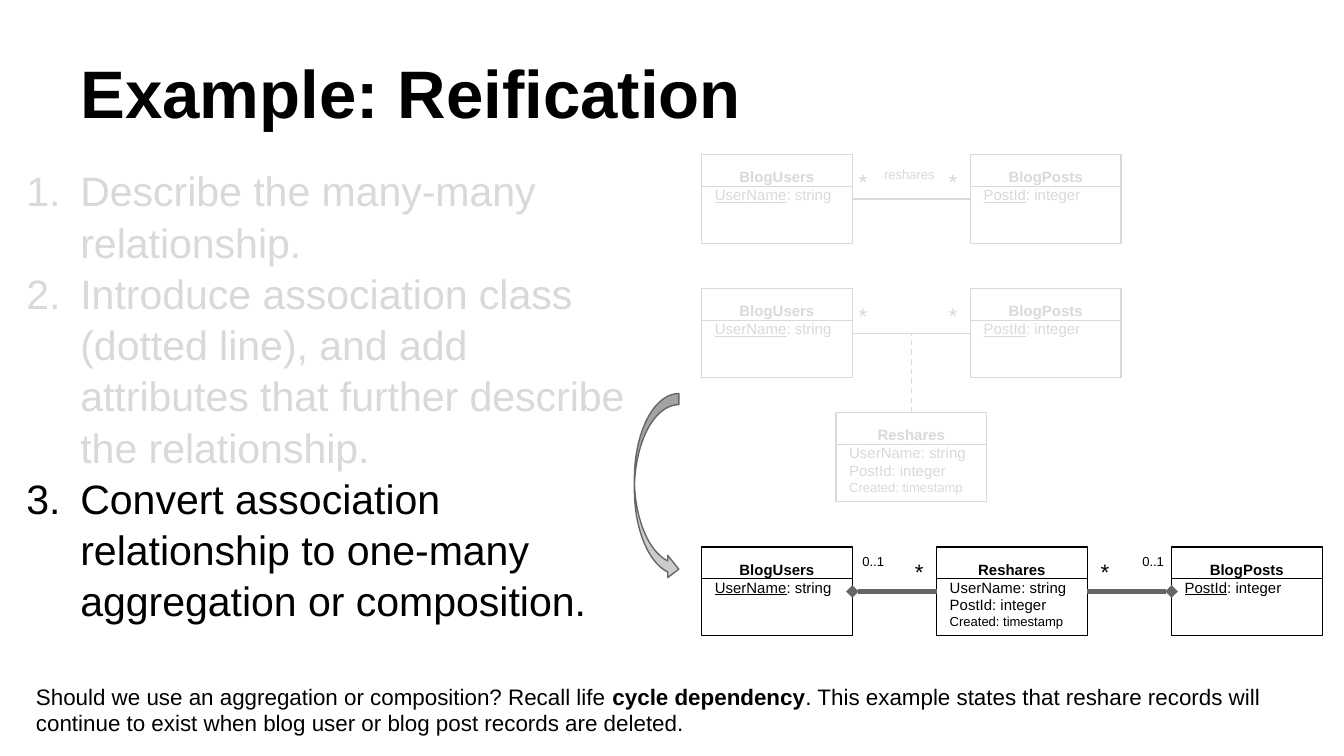
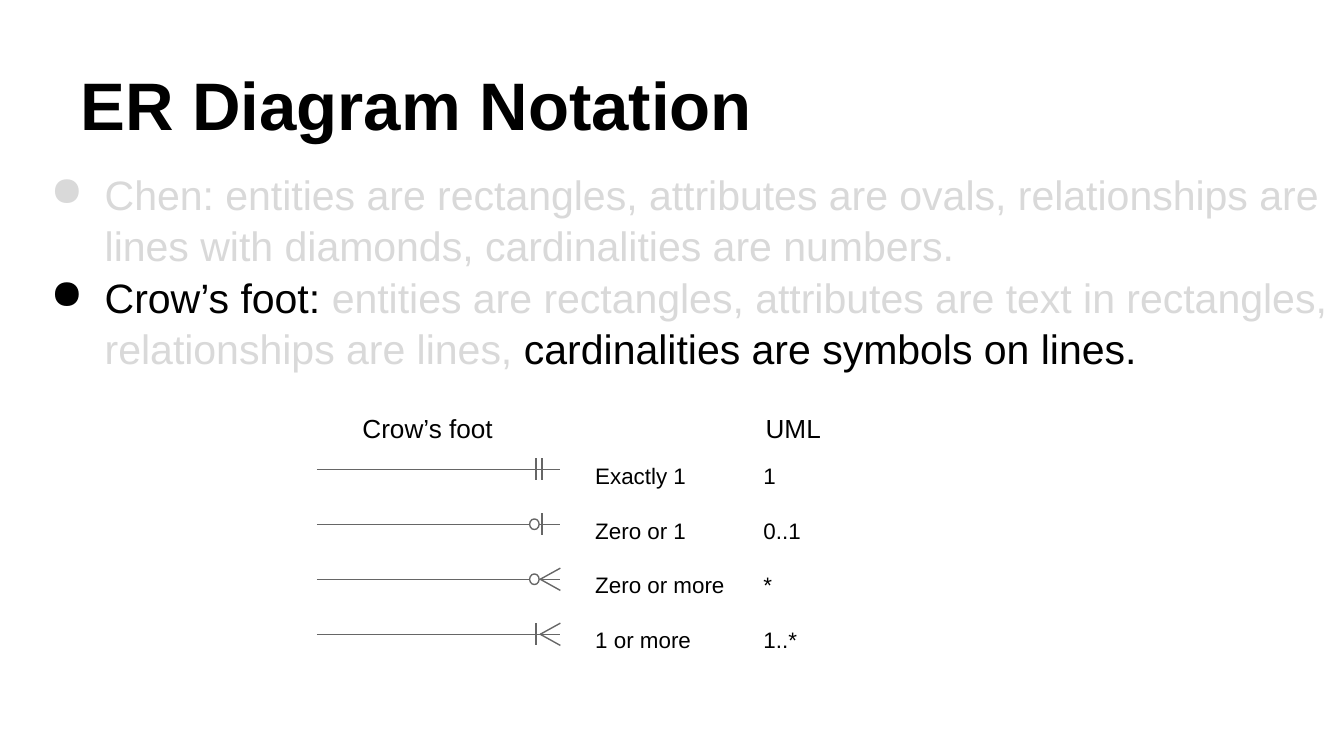
from lxml import etree
from pptx import Presentation
from pptx.dml.color import RGBColor
from pptx.enum.dml import MSO_LINE
from pptx.enum.shapes import MSO_CONNECTOR, MSO_SHAPE
from pptx.enum.text import MSO_ANCHOR, PP_ALIGN
from pptx.oxml.ns import qn
from pptx.util import Cm, Pt

STRAIGHT = MSO_CONNECTOR.STRAIGHT
RECT, OVAL = MSO_SHAPE.RECTANGLE, MSO_SHAPE.OVAL
CURVE = MSO_SHAPE.CURVED_RIGHT_ARROW
TOP, BOTTOM = MSO_ANCHOR.TOP, MSO_ANCHOR.BOTTOM
LEFT, CENTER = PP_ALIGN.LEFT, PP_ALIGN.CENTER
DASH = MSO_LINE.DASH

FONT = "Arial"
BLACK, FADED, GRAY, SILVER, WHITE = "000000", "D9D9D9", "666666", "CCCCCC", "FFFFFF"
INSET = 0.25
BOX_W, BOX_H, HEAD_H = 2.85, 1.68, 0.6

USERS = ("BlogUsers", "UserName", ": string")
POSTS = ("BlogPosts", "PostId", ": integer")


def paint(target, color):
    """Colour a font, or make a fill solid."""
    if hasattr(target, "solid"):
        target.solid()
        target.fore_color.rgb = RGBColor.from_string(color)
    else:
        target.color.rgb = RGBColor.from_string(color)


def put(frame, text, size=12, color=BLACK, bold=False, under=False,
        new=True, align=LEFT, gap=0, mark=None, lead=None):
    """Add text as a new paragraph, or to the last one if new is False."""
    para = frame.paragraphs[-1]
    if new:
        if para.runs:
            para = frame.add_paragraph()
            para.space_before = Pt(gap)
        para.alignment = align
        if mark:
            add_mark(para, mark, color)
        if lead:
            para.line_spacing = lead
    for i, part in enumerate(text.split("\n")):
        if i:
            para.add_line_break()
        run = para.add_run()
        run.text = part
        font = run.font
        font.name, font.size, font.bold, font.underline = FONT, Pt(size), bold, under
        paint(font, color)


def add_mark(para, mark, color):
    """Give a paragraph a hanging number ("1.") or a bullet character."""
    props = para._p.get_or_add_pPr()
    props.set("marL", str(Cm(1.27)))
    props.set("indent", str(-Cm(1.02)))
    tint = etree.SubElement(props, qn("a:buClr"))
    etree.SubElement(tint, qn("a:srgbClr"), val=color)
    if mark == "1.":
        etree.SubElement(props, qn("a:buAutoNum"), type="arabicPeriod")
    else:
        etree.SubElement(props, qn("a:buChar"), char=mark)


def set_frame(shape, anchor=TOP):
    frame = shape.text_frame
    frame.word_wrap = True
    frame.vertical_anchor = anchor
    frame.margin_left = frame.margin_right = Cm(INSET)
    frame.margin_top = frame.margin_bottom = Cm(INSET)
    return frame


def add_box(slide, x, y, w, h, anchor=TOP):
    return set_frame(slide.shapes.add_textbox(Cm(x), Cm(y), Cm(w), Cm(h)), anchor)


def add_title(slide, text, y):
    put(add_box(slide, 1.27, y, 22.86, 2.39, BOTTOM), text, size=36, bold=True)


def add_label(slide, text, x, y, w=0.53, h=0.64, **fmt):
    put(add_box(slide, x, y, w, h), text, **fmt)


def add_form(slide, kind, x, y, w, h, fill=None, line=GRAY):
    form = slide.shapes.add_shape(kind, Cm(x), Cm(y), Cm(w), Cm(h))
    form.shadow.inherit = False
    if fill:
        paint(form.fill, fill)
    else:
        form.fill.background()
    paint(form.line.fill, line)
    form.line.width = Pt(0.75)
    return form


def add_line(slide, x1, y1, x2, y2, color=GRAY, width=0.75):
    line = slide.shapes.add_connector(STRAIGHT, Cm(x1), Cm(y1), Cm(x2), Cm(y2))
    etree.SubElement(line._element.spPr, qn("a:effectLst"))
    paint(line.line.fill, color)
    line.line.width = Pt(width)
    return line


def link(slide, start, side, end, goal, **fmt):
    """Join one side of a box to a side of another."""
    line = add_line(slide, 0, 0, 1, 1, **fmt)
    line.begin_connect(start, side)
    line.end_connect(end, goal)
    return line


def add_class(slide, x, y, name, color):
    form = add_form(slide, RECT, x, y, BOX_W, BOX_H, line=color)
    frame = set_frame(form)
    put(frame, name, size=8, color=color, bold=True, align=CENTER)
    add_line(slide, x, y + HEAD_H, x + BOX_W, y + HEAD_H, color)
    return form, frame


def add_keyed(slide, x, y, names, color):
    """Draw a class whose one attribute is its underlined key."""
    name, key, kind = names
    form, frame = add_class(slide, x, y, name, color)
    put(frame, key, size=8, color=color, under=True)
    put(frame, kind, size=8, color=color, new=False)
    return form


def add_reshares(slide, x, y, color):
    form, frame = add_class(slide, x, y, "Reshares", color)
    for text, size in (("UserName: string", 8), ("PostId: integer", 8),
                       ("Created: timestamp", 7)):
        put(frame, text, size=size, color=color)
    return form


def add_many(slide, y):
    """Draw the faded many-to-many pair of classes."""
    users = add_keyed(slide, 13.26, y, USERS, FADED)
    posts = add_keyed(slide, 18.34, y, POSTS, FADED)
    link(slide, users, 3, posts, 1, color=FADED)
    for x in (15.98, 17.68):
        add_label(slide, "*", x, y, color=FADED)


def add_owned(slide, y):
    """Draw the two aggregations that replace the association."""
    users = add_keyed(slide, 13.26, y, USERS, BLACK)
    posts = add_keyed(slide, 22.14, y, POSTS, BLACK)
    shares = add_reshares(slide, 17.7, y, BLACK)
    for owner, side, goal in ((users, 3, 1), (posts, 1, 3)):
        line = link(slide, owner, side, shares, goal, width=2.25)
        etree.SubElement(line.line._get_or_add_ln(), qn("a:headEnd"), type="diamond")
    for x in (17.04, 20.55):
        add_label(slide, "*", x, y - 0.03)
    for x in (16.05, 21.34):
        add_label(slide, "0..1", x, y - 0.03, w=1.07, size=7)


def reify(slide):
    add_title(slide, "Example: Reification", 0.36)
    steps = add_box(slide, 0, 2.85, 12.83, 10.85)
    for text, color in (
            ("Describe the many-many\nrelationship.", FADED),
            ("Introduce association class\n(dotted line), and add\n"
             "attributes that further describe\nthe relationship.", FADED),
            ("Convert association\nrelationship to one-many aggregation or composition.",
             BLACK)):
        put(steps, text, size=22, color=color, mark="1.", lead=1.04)

    add_many(slide, 2.92)
    add_label(slide, "reshares", 16.46, 3, w=1.5, size=7, color=FADED)
    add_many(slide, 5.46)
    shares = add_reshares(slide, 15.8, 7.8, FADED)
    mid = 15.8 + BOX_W / 2
    dots = add_line(slide, mid, 7.8, mid, 5.46 + BOX_H / 2, FADED)
    dots.begin_connect(shares, 0)
    dots.line.dash_style = DASH
    add_owned(slide, 10.34)
    add_form(slide, CURVE, 11.99, 7.44, 0.84, 3.53, fill=SILVER)

    note = add_box(slide, 0.43, 13.03, 24.59, 1.14, BOTTOM)
    put(note, "Should we use an aggregation or composition? Recall life ")
    put(note, "cycle dependency", bold=True, new=False)
    put(note, ". This example states that reshare records will continue to exist "
              "when blog user or blog post records are deleted.", new=False)


def add_end(slide, y, inner, outer):
    """Draw a line with two crow's foot marks: bar, ring or foot."""
    add_line(slide, 5.99, y, 10.59, y)
    for mark, x in ((inner, 10.13), (outer, 10.24)):
        if mark == "bar":
            add_line(slide, x, y - 0.21, x, y + 0.21)
        elif mark == "ring":
            add_form(slide, OVAL, 10.01, y - 0.1, 0.18, 0.2, fill=WHITE)
        else:
            for rise in (-0.21, 0.21):
                add_line(slide, 10.59, y + rise, 10.21, y)


def notate(slide):
    add_title(slide, "ER Diagram Notation", 0.58)
    body = add_box(slide, 0.46, 2.92, 24.94, 4.6)
    fmt = {"size": 22, "lead": 1.04}
    put(body, "Chen: entities are rectangles, attributes are ovals, relationships are "
              "lines with diamonds, cardinalities are numbers.",
        color=FADED, mark="●", **fmt)
    put(body, "Crow’s foot: ", mark="●", **fmt)
    put(body, "entities are rectangles, attributes are text in rectangles, "
              "relationships are lines, ", color=FADED, new=False, **fmt)
    put(body, "cardinalities are symbols on lines.", new=False, **fmt)

    for text, x in (("Crow’s foot", 6.6), ("UML", 14.22)):
        add_label(slide, text, x, 7.54, w=3.94, h=0.76, size=14)
    names = add_box(slide, 11, 8.48, 3.2, 3.78)
    signs = add_box(slide, 14.18, 8.48, 3.2, 3.78)
    rows = (("Exactly 1", "1", "bar", "bar"),
            ("Zero or 1", "0..1", "ring", "bar"),
            ("Zero or more", "*", "ring", "foot"),
            ("1 or more", "1..*", "bar", "foot"))
    for i, (name, sign, inner, outer) in enumerate(rows):
        add_end(slide, 8.87 + 1.04 * i, inner, outer)
        put(names, name, gap=15)
        put(signs, sign, gap=15)


def main():
    deck = Presentation()
    deck.slide_width, deck.slide_height = Cm(25.4), Cm(14.29)
    for build in (reify, notate):
        build(deck.slides.add_slide(deck.slide_layouts[6]))
    deck.save("out.pptx")


if __name__ == "__main__":
    main()
